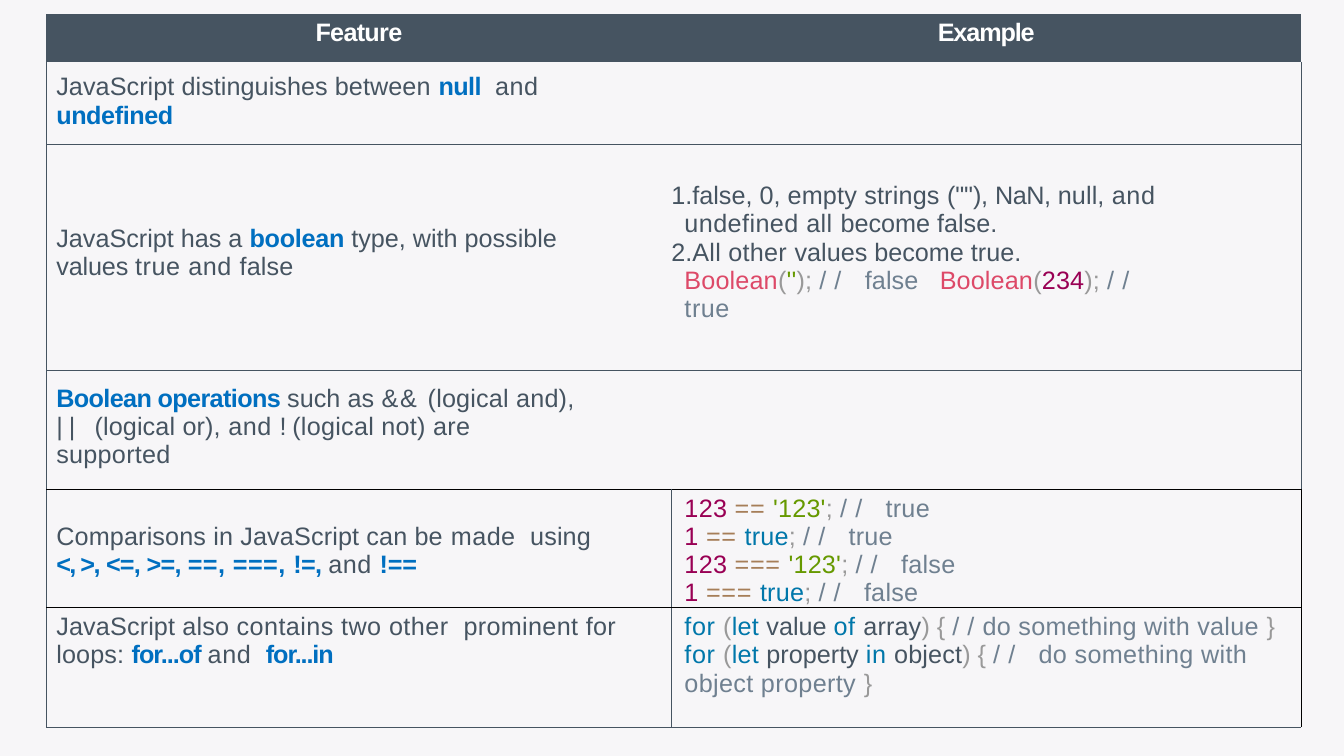
from lxml import etree
from pptx import Presentation
from pptx.dml.color import RGBColor
from pptx.enum import text
from pptx.oxml import ns
from pptx.util import Cm, Pt

PAPER = RGBColor(0xF7, 0xF6, 0xF8)
WHITE = RGBColor(0xFF, 0xFF, 0xFF)
BLACK = RGBColor(0x00, 0x00, 0x00)
INK = RGBColor(0x46, 0x54, 0x61)
TERM = RGBColor(0x00, 0x6F, 0xC0)
FUNC = RGBColor(0xDD, 0x49, 0x68)
PUNCT = RGBColor(0x99, 0x99, 0x99)
STRING = RGBColor(0x66, 0x99, 0x00)
COMMENT = RGBColor(0x6F, 0x80, 0x90)
NUMBER = RGBColor(0x99, 0x00, 0x54)
OPERATOR = RGBColor(0xA6, 0x7E, 0x58)
KEYWORD = RGBColor(0x00, 0x77, 0xAA)
BOLD = (WHITE, TERM)

TOP, MIDDLE = text.MSO_ANCHOR.TOP, text.MSO_ANCHOR.MIDDLE
FONT, SIZE = "Arial", Pt(18)
BREAK = ("\n", INK, 0)
SLASHES = ("// ", COMMENT, 5.8)

COL_WIDTHS = (15.75, 15.87)
ROW_HEIGHTS = (1.21, 2.08, 5.69, 2.99, 2.99, 3.01)
INDENTS = (0.25, 0.33)


def comparison(left, operator, right, right_color, result):
    return [(left + " ", NUMBER, 0.2), (operator + " ", OPERATOR, 0.5),
            (right, right_color, 0.15), ("; ", PUNCT, 0.1), SLASHES,
            (result, COMMENT, 0.2)]


def loop_head(name, word, collection):
    return [("for ", KEYWORD, 0.4), ("(", PUNCT, 0.2), ("let ", KEYWORD, 0.2),
            (name + " ", INK, 0), (word + " ", KEYWORD, 0.4),
            (collection, INK, 0.1), (") { ", PUNCT, 0)]


# Paragraphs of each cell, as runs of (text, colour, letter spacing)
HEADINGS = [[[("Feature", WHITE, -0.5)]], [[("Example", WHITE, -0.8)]]]

NULL_FEATURE = [
    [("JavaScript distinguishes between ", INK, 0.05), ("null ", TERM, -0.4),
     (" ", INK, 0), ("and", INK, 0.4)],
    [("undefined", TERM, -0.3)],
]
BOOLEAN_FEATURE = [
    [("JavaScript has a ", INK, 0), ("boolean ", TERM, -0.2),
     ("type, with possible", INK, 0)],
    [("values ", INK, -0.1), ("true and ", INK, 0.4), ("false", INK, 0.1)],
]
BOOLEAN_EXAMPLE = [
    [("false, 0, ", INK, 0), ("empty strings ", INK, 0.15), ("(\"\"), ", INK, -0.1),
     ("NaN, ", INK, -0.3), ("null, ", INK, 0.1), ("and", INK, 0.4)],
    [("undefined all ", INK, 0.3), ("become false.", INK, 0)],
    [("All other ", INK, 0.2), ("values become true.", INK, 0), BREAK,
     ("Boolean", FUNC, 0.1), ("(", PUNCT, 0.1), ("''", STRING, 0.1),
     ("); ", PUNCT, 0.1), SLASHES, ("false", COMMENT, 0.1), (" ", COMMENT, 10),
     ("Boolean", FUNC, 0.1), ("(", PUNCT, 0.1), ("234", NUMBER, 0.1),
     ("); ", PUNCT, 0.1), SLASHES, BREAK, ("true", COMMENT, 0.4)],
]
OPERATIONS_FEATURE = [
    [("Boolean operations ", TERM, -0.45), ("such as ", INK, 0.05),
     ("&& ", INK, 1.3), ("(logical and),", INK, 0.15)],
    [("|| ", INK, 4.3), ("(logical or), ", INK, 0.1), ("and ", INK, 0.4),
     ("! ", INK, -0.9), ("(logical not) are", INK, 0.2)],
    [("supported", INK, 0.2)],
]
COMPARISON_FEATURE = [
    [("Comparisons in JavaScript can be ", INK, 0.1), ("made ", INK, 0.3),
     (" ", INK, 0), ("using", INK, 0.1), BREAK,
     ("<, >, ", TERM, -1.1), ("<=, >=, ", TERM, -0.5), ("==, ===, ", TERM, 0.3),
     ("!=, ", TERM, -0.5), ("and ", INK, 0.4), ("!==", TERM, -0.1)],
]
COMPARISON_EXAMPLE = [
    comparison("123", "==", "'123'", STRING, "true"),
    comparison("1", "==", "true", KEYWORD, "true"),
    comparison("123", "===", "'123'", STRING, "false"),
    comparison("1", "===", "true", KEYWORD, "false"),
]
LOOP_FEATURE = [
    [("JavaScript also ", INK, 0.1), ("contains two other ", INK, 0.3),
     (" ", INK, 0), ("prominent for", INK, 0.25), BREAK, ("loops: ", INK, 0.1),
     ("for...of ", TERM, -0.7), ("and ", INK, 0.4), (" ", INK, 0),
     ("for...in", TERM, -0.8)],
]
LOOP_EXAMPLE = [
    [*loop_head("value", "of", "array"), ("//", COMMENT, 5.8),
     ("do something with value ", COMMENT, 0.2), ("}", PUNCT, -0.1), BREAK,
     *loop_head("property", "in", "object"), SLASHES,
     ("do something with", COMMENT, 0.25), BREAK,
     ("object property ", COMMENT, 0.25), ("}", PUNCT, -0.1)],
]

# Body rows: cells, top margin, anchor, bottom line colour
BODY = [
    ((NULL_FEATURE,), 0.28, TOP, INK),
    ((BOOLEAN_FEATURE, BOOLEAN_EXAMPLE), 0, MIDDLE, INK),
    ((OPERATIONS_FEATURE,), 0.36, TOP, BLACK),
    ((COMPARISON_FEATURE, COMPARISON_EXAMPLE), 0.12, MIDDLE, BLACK),
    ((LOOP_FEATURE, LOOP_EXAMPLE), 0.13, TOP, INK),
]


def set_borders(cell, **colors):
    tc_pr = cell._tc.get_or_add_tcPr()
    for i, side in enumerate("LRTB"):
        ln = etree.Element(ns.qn("a:ln" + side), w=str(Pt(0.5)))
        if colors.get(side) is None:
            etree.SubElement(ln, ns.qn("a:noFill"))
        else:
            fill = etree.SubElement(ln, ns.qn("a:solidFill"))
            etree.SubElement(fill, ns.qn("a:srgbClr"), val=str(colors[side]))
        tc_pr.insert(i, ln)


def set_number(p, start, indent):
    p_pr = p._p.get_or_add_pPr()
    p_pr.set("indent", str(-Cm(indent)))
    etree.SubElement(p_pr, ns.qn("a:buFont"), typeface="+mj-lt")
    etree.SubElement(p_pr, ns.qn("a:buAutoNum"), type="arabicPeriod", startAt=str(start))


def fill_cell(cell, paragraphs, margin, anchor, indent=0, numbers=None):
    cell.margin_left = cell.margin_right = cell.margin_bottom = 0
    cell.margin_top = Cm(margin)
    cell.vertical_anchor = anchor
    tf = cell.text_frame
    for i, runs in enumerate(paragraphs):
        p = tf.add_paragraph() if i else tf.paragraphs[0]
        p._p.get_or_add_pPr().set("marL", str(Cm(indent)))
        if numbers and i in numbers:
            set_number(p, numbers[i], indent)
        for content, color, spacing in runs:
            if content == "\n":
                p.add_line_break()
                continue
            r = p.add_run()
            r.text = content
            r.font.name, r.font.size = FONT, SIZE
            r.font.bold = color in BOLD
            r.font.color.rgb = color
            r._r.get_or_add_rPr().set("spc", str(round(spacing * 100)))


def add_feature_table(slide, left, top, width, height):
    table = slide.shapes.add_table(len(ROW_HEIGHTS), len(COL_WIDTHS),
                                   left, top, width, height).table
    table.first_row = table.horz_banding = False
    for column, w in zip(table.columns, COL_WIDTHS):
        column.width = Cm(w)
    for row, h in zip(table.rows, ROW_HEIGHTS):
        row.height = Cm(h)

    # Header row
    for cell, heading in zip(table.rows[0].cells, HEADINGS):
        cell.fill.solid()
        cell.fill.fore_color.rgb = INK
        fill_cell(cell, heading, 0.13, TOP)
        cell.text_frame.paragraphs[0].alignment = text.PP_ALIGN.CENTER
        set_borders(cell)

    # Body rows; a row with a single entry spans both columns
    above = None
    for i, (entries, margin, anchor, below) in enumerate(BODY, 1):
        if len(entries) == 1:
            table.cell(i, 0).merge(table.cell(i, 1))
        split = INK if i > 3 else None
        edge = BLACK if i > 3 else INK
        sides = ({"L": INK, "R": split}, {"L": split, "R": edge})
        for j, side in enumerate(sides):
            cell = table.cell(i, j)
            cell.fill.background()
            if j < len(entries):
                numbers = {0: 1, 2: 2} if entries[j] is BOOLEAN_EXAMPLE else None
                fill_cell(cell, entries[j], margin, anchor, INDENTS[j], numbers)
            if len(entries) == 1:
                side = {"L": INK, "R": INK}
            set_borders(cell, T=above, B=below, **side)
        above = below
    table.cell(2, 1).margin_bottom = table.cell(2, 0).margin_bottom = Cm(0.25)


def main():
    prs = Presentation()
    prs.slide_width, prs.slide_height = Cm(33.87), Cm(19.05)
    slide = prs.slides.add_slide(prs.slide_layouts[6])
    slide.background.fill.solid()
    slide.background.fill.fore_color.rgb = PAPER
    add_feature_table(slide, Cm(1.17), Cm(0.35), Cm(sum(COL_WIDTHS)), Cm(sum(ROW_HEIGHTS)))
    prs.save("out.pptx")


if __name__ == "__main__":
    main()
